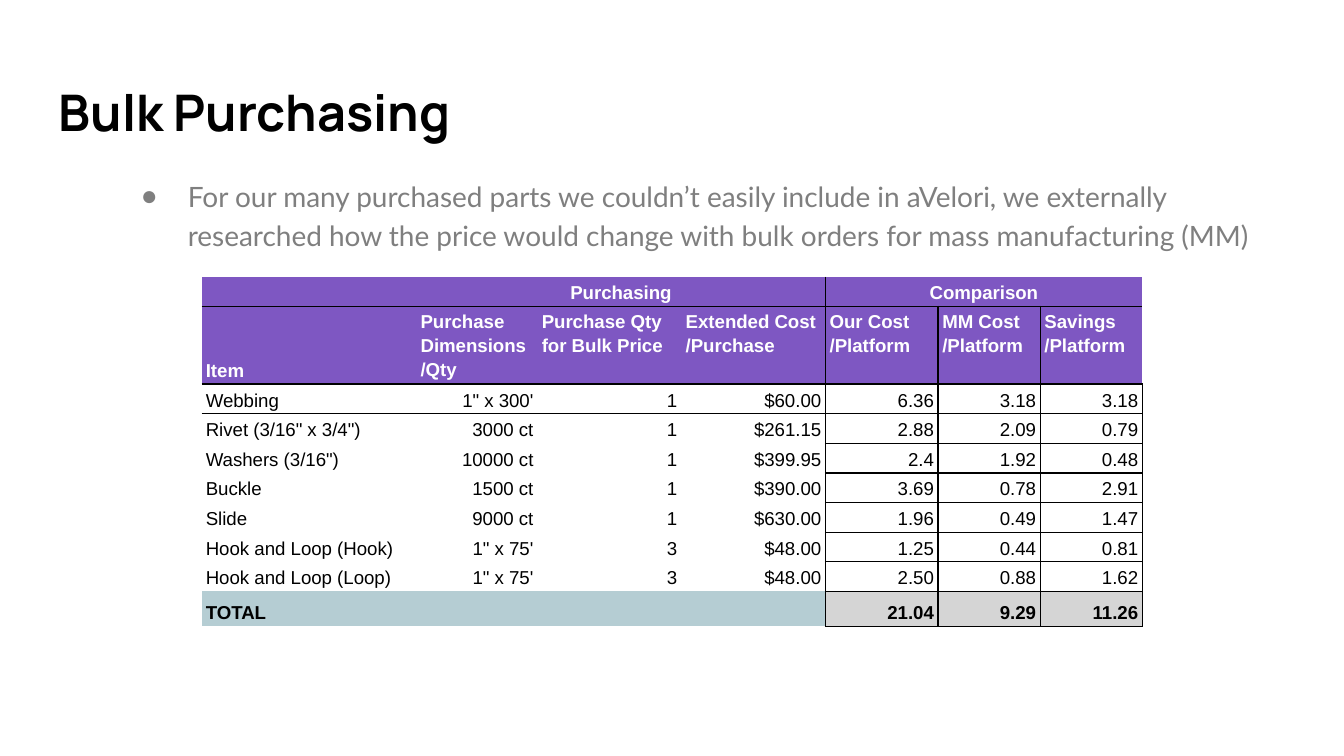
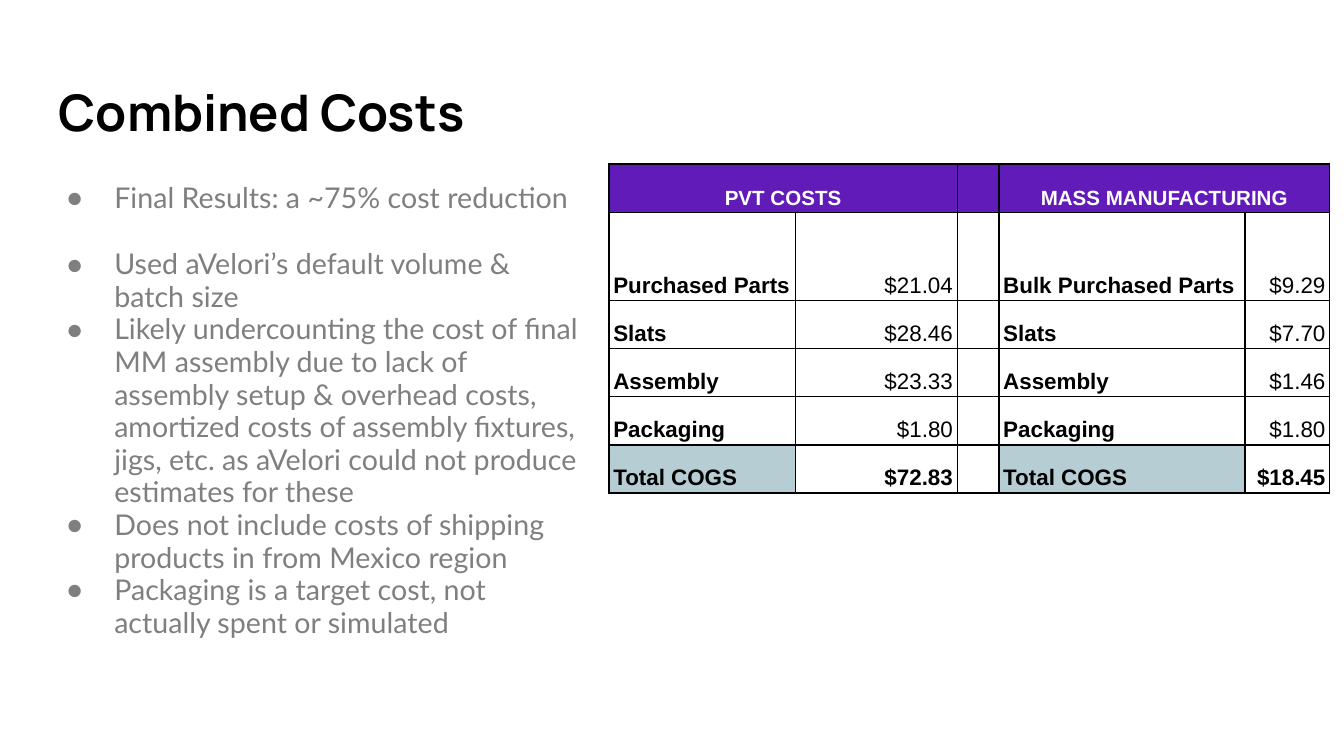
"""Build two cost slides: bulk purchasing and combined costs."""
import dataclasses
import typing

import lxml.etree
import pptx
import pptx.dml.color
import pptx.enum.text
import pptx.oxml.ns
import pptx.util

Cm = pptx.util.Cm
Pt = pptx.util.Pt
RGBColor = pptx.dml.color.RGBColor
Align = pptx.enum.text.PP_ALIGN
Anchor = pptx.enum.text.MSO_ANCHOR
qn = pptx.oxml.ns.qn

BLACK = RGBColor(0x00, 0x00, 0x00)
WHITE = RGBColor(0xFF, 0xFF, 0xFF)
GRAY = RGBColor(0x7F, 0x7F, 0x7F)
SILVER = RGBColor(0xD5, 0xD5, 0xD5)
PURPLE = RGBColor(0x7E, 0x57, 0xC2)
VIOLET = RGBColor(0x61, 0x1B, 0xB8)
TEAL = RGBColor(0xB5, 0xCD, 0xD3)

PLAIN_TABLE = "{2D5ABB26-0587-4C30-8999-92F81FD0307C}"
ALL_SIDES = "LRTB"
TITLE_FONT = {"name": "Manrope", "size": Pt(27), "bold": True}
CELL_FORMAT = {
    "margin_left": Cm(0.08),
    "margin_right": Cm(0.08),
    "margin_top": Cm(0.05),
    "margin_bottom": Cm(0.05),
}
FRAME_FORMAT = {
    "margin_left": Cm(0.25),
    "margin_right": Cm(0.25),
    "margin_top": Cm(0.25),
    "margin_bottom": Cm(0.25),
    "word_wrap": True,
    "auto_size": pptx.enum.text.MSO_AUTO_SIZE.NONE,
}


@dataclasses.dataclass(frozen=True)
class Area:
    """A rectangle in centimetres."""

    left: float
    top: float
    width: float
    height: float


@dataclasses.dataclass(frozen=True)
class BulletList:
    """A bulleted list and its type settings."""

    area: Area
    items: tuple[str, ...]
    size: float
    line_spacing: float
    hanging: float
    first_gap: float = 0


@dataclasses.dataclass(frozen=True)
class CellStyle:
    """The look of one table cell."""

    size: float
    bold: bool = False
    color: RGBColor = BLACK
    fill: RGBColor | None = None
    align: Align = Align.LEFT
    anchor: Anchor = Anchor.BOTTOM
    sides: str = ALL_SIDES


@dataclasses.dataclass(frozen=True)
class CostTable:
    """A table with its grid, texts, merged headings and style rule."""

    left: float
    top: float
    widths: tuple[float, ...]
    heights: tuple[float, ...]
    rows: tuple[tuple[str, ...], ...]
    merges: tuple[tuple[int, int], ...]
    style: typing.Callable[[int, int], CellStyle]


@dataclasses.dataclass(frozen=True)
class CostPage:
    """The contents of one slide."""

    title: str
    bullets: BulletList
    table: CostTable


def purchasing_style(row: int, column: int) -> CellStyle:
    """Return the style of a cell in the purchasing table."""
    comparison = column >= 4
    if row < 2:
        sides = "B" if row == 0 else "TB"
        if column in (4, 5) and (row == 1 or column == 4):
            sides += "L"
        if column == 3 or (row, column) in ((0, 1), (1, 4)):
            sides += "R"
        heading = row == 1 and column > 0
        return CellStyle(
            size=10, bold=True, color=WHITE, fill=PURPLE, sides=sides,
            align=Align.CENTER if row == 0 else Align.LEFT,
            anchor=Anchor.TOP if heading else Anchor.BOTTOM,
        )
    total = row == 9
    if comparison:
        fill, sides = SILVER if total else WHITE, ALL_SIDES
    else:
        fill = TEAL if total else None
        sides = ("TB" if row == 2 else "") + ("R" if column == 3 else "")
    return CellStyle(
        size=10, bold=total, fill=fill, sides=sides,
        align=Align.RIGHT if column else Align.LEFT,
    )


def combined_style(row: int, column: int) -> CellStyle:
    """Return the style of a cell in the combined cost table."""
    if row == 0:
        return CellStyle(size=11, bold=True, color=WHITE, fill=VIOLET, align=Align.CENTER)
    label, total = column in (0, 3), row == 5
    return CellStyle(
        size=12, bold=label or total, fill=TEAL if label and total else None,
        align=Align.LEFT if label else Align.RIGHT,
    )


PAGES = (
    CostPage(
        "Bulk Purchasing",
        BulletList(
            Area(2.03, 3.05, 22.07, 2.18),
            (
                "For our many purchased parts we couldn’t easily include in aVelori, we externally "
                "researched how the price would change with bulk orders for mass manufacturing (MM)",
            ),
            size=15, line_spacing=1.15, hanging=0.89,
        ),
        CostTable(
            3.81, 5.23,
            (4.06, 2.29, 2.72, 2.72, 2.13, 1.93, 1.93),
            (0.56, 1.47, *[0.56] * 7, 0.66),
            (
                ("", "Purchasing", "", "", "Comparison", "", ""),
                ("Item", "Purchase Dimensions\n/Qty", "Purchase Qty for Bulk Price",
                 "Extended Cost\n/Purchase", "Our Cost\n/Platform", "MM Cost\n/Platform",
                 "Savings\n/Platform"),
                ("Webbing", "1\" x 300'", "1", "$60.00", "6.36", "3.18", "3.18"),
                ('Rivet (3/16" x 3/4")', "3000 ct", "1", "$261.15", "2.88", "2.09", "0.79"),
                ('Washers (3/16")', "10000 ct", "1", "$399.95", "2.4", "1.92", "0.48"),
                ("Buckle", "1500 ct", "1", "$390.00", "3.69", "0.78", "2.91"),
                ("Slide", "9000 ct", "1", "$630.00", "1.96", "0.49", "1.47"),
                ("Hook and Loop (Hook)", "1\" x 75'", "3", "$48.00", "1.25", "0.44", "0.81"),
                ("Hook and Loop (Loop)", "1\" x 75'", "3", "$48.00", "2.50", "0.88", "1.62"),
                ("TOTAL", "", "", "", "21.04", "9.29", "11.26"),
            ),
            ((1, 3), (4, 6)),
            purchasing_style,
        ),
    ),
    CostPage(
        "Combined Costs",
        BulletList(
            Area(0.64, 3.2, 10.72, 9.5),
            (
                "Final Results: a ~75% cost reduction",
                "Used aVelori’s default volume & batch size",
                "Likely undercounting the cost of final MM assembly due to lack of assembly setup "
                "& overhead costs, amortized costs of assembly fixtures, jigs, etc. as aVelori "
                "could not produce estimates for these",
                "Does not include costs of shipping products in from Mexico region",
                "Packaging is a target cost, not actually spent or simulated",
            ),
            size=15.3, line_spacing=0.95, hanging=0.91, first_gap=18,
        ),
        CostTable(
            11.51, 3.1,
            (3.53, 3.05, 0.79, 4.65, 1.6),
            (0.92, 1.66, *[0.91] * 4),
            (
                ("PVT COSTS", "", "", "MASS MANUFACTURING", ""),
                ("Purchased Parts", "$21.04", "", "Bulk Purchased Parts", "$9.29"),
                ("Slats", "$28.46", "", "Slats", "$7.70"),
                ("Assembly", "$23.33", "", "Assembly", "$1.46"),
                ("Packaging", "$1.80", "", "Packaging", "$1.80"),
                ("Total COGS", "$72.83", "", "Total COGS", "$18.45"),
            ),
            ((0, 1), (3, 4)),
            combined_style,
        ),
    ),
)


def apply_format(target: typing.Any, values: dict[str, typing.Any]) -> None:
    """Set each named attribute on the target."""
    for name, value in values.items():
        setattr(target, name, value)


def place(box: typing.Any, area: Area) -> None:
    """Move a placeholder to an area and set its frame."""
    apply_format(box, {name: Cm(value) for name, value in dataclasses.asdict(area).items()})
    apply_format(box.text_frame, FRAME_FORMAT)


def write_title(box: typing.Any, text: str) -> None:
    """Fill the title placeholder."""
    place(box, Area(0.86, 1.24, 23.67, 1.73))
    box.text_frame.vertical_anchor = Anchor.MIDDLE
    para = box.text_frame.paragraphs[0]
    para.alignment = Align.LEFT
    span = para.add_run()
    span.text = text
    apply_format(span.font, TITLE_FONT)
    span.font.color.rgb = BLACK


def write_bullets(box: typing.Any, bullets: BulletList) -> None:
    """Fill the body placeholder with a bulleted list."""
    place(box, bullets.area)
    frame = box.text_frame
    frame.vertical_anchor = Anchor.TOP
    for index, item in enumerate(bullets.items):
        para = frame.add_paragraph() if index else frame.paragraphs[0]
        apply_format(para, {
            "alignment": Align.LEFT,
            "line_spacing": bullets.line_spacing,
            "space_before": Pt(0),
            "space_after": Pt(0 if index else bullets.first_gap),
        })
        span = para.add_run()
        span.text = item
        apply_format(span.font, {"name": "Lato", "size": Pt(bullets.size)})
        span.font.color.rgb = GRAY
        properties = para._p.get_or_add_pPr()
        properties.set("marL", str(Cm(1.27)))
        properties.set("indent", str(-Cm(bullets.hanging)))
        color = lxml.etree.SubElement(properties, qn("a:buClr"))
        lxml.etree.SubElement(color, qn("a:srgbClr"), val=str(GRAY))
        lxml.etree.SubElement(properties, qn("a:buChar"), char="●")


def draw_borders(cell: typing.Any, sides: str) -> None:
    """Draw thin black lines on the named sides of a cell."""
    properties = cell._tc.get_or_add_tcPr()
    for side in ALL_SIDES:
        if side in sides:
            line = lxml.etree.SubElement(properties, qn(f"a:ln{side}"), w=str(Pt(0.75)))
            fill = lxml.etree.SubElement(line, qn("a:solidFill"))
            lxml.etree.SubElement(fill, qn("a:srgbClr"), val=str(BLACK))


def write_cell(cell: typing.Any, text: str, style: CellStyle) -> None:
    """Fill and format one table cell."""
    apply_format(cell, {**CELL_FORMAT, "vertical_anchor": style.anchor})
    draw_borders(cell, style.sides)
    if style.fill is None:
        cell.fill.background()
    else:
        cell.fill.solid()
        cell.fill.fore_color.rgb = style.fill
    cell.text_frame.text = text
    for para in cell.text_frame.paragraphs:
        apply_format(para, {"alignment": style.align, "line_spacing": 1.15})
        for span in para.runs:
            apply_format(span.font, {"name": "Arial", "size": Pt(style.size), "bold": style.bold})
            span.font.color.rgb = style.color
        if not para.runs:
            lxml.etree.SubElement(para._p, qn("a:endParaRPr"), sz=str(int(style.size * 100)))


def draw_table(page: typing.Any, cost: CostTable) -> None:
    """Add a cost table to a slide."""
    frame = page.shapes.add_table(
        len(cost.heights), len(cost.widths), Cm(cost.left), Cm(cost.top),
        Cm(sum(cost.widths)), Cm(sum(cost.heights)),
    )
    table = frame.table
    apply_format(table, {"first_row": False, "horz_banding": False})
    table._tbl.tblPr.find(qn("a:tableStyleId")).text = PLAIN_TABLE
    for column, width in zip(table.columns, cost.widths):
        column.width = Cm(width)
    for row, height in zip(table.rows, cost.heights):
        row.height = Cm(height)
    for first, last in cost.merges:
        table.cell(0, first).merge(table.cell(0, last))
    for row, texts in enumerate(cost.rows):
        for column, text in enumerate(texts):
            write_cell(table.cell(row, column), text, cost.style(row, column))


def main() -> None:
    """Build and save the deck."""
    deck = pptx.Presentation()
    apply_format(deck, {"slide_width": Cm(25.4), "slide_height": Cm(14.29)})
    for content in PAGES:
        page = deck.slides.add_slide(deck.slide_layouts[1])
        write_title(page.shapes.title, content.title)
        write_bullets(page.placeholders[1], content.bullets)
        draw_table(page, content.table)
    deck.save("out.pptx")


if __name__ == "__main__":
    main()
